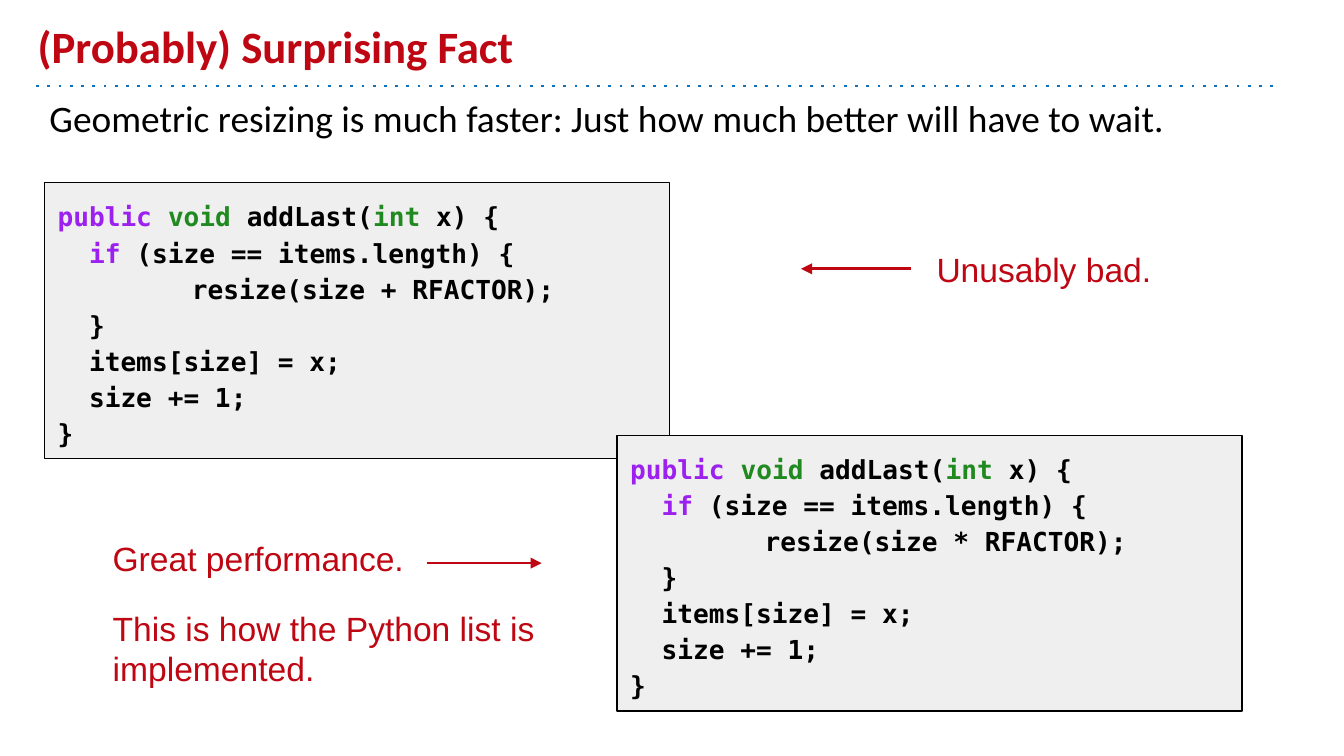
from lxml.etree import SubElement
from pptx import Presentation
from pptx.dml.color import RGBColor
from pptx.enum.shapes import MSO_CONNECTOR as Connector, MSO_SHAPE as Shape
from pptx.enum.text import MSO_ANCHOR as Anchor, MSO_AUTO_SIZE as AutoSize, PP_ALIGN as Align
from pptx.oxml.ns import qn
from pptx.util import Inches, Pt

COLORS = {
    "red": "BE0712", "blue": "1072BD", "black": "000000",
    "panel": "EFEFEF", "purple": "9C20EE", "green": "208920",
}
SYNTAX = {"public": "purple", "if": "purple", "void": "green", "int": "green"}
CODE = """public| |void| addLast(|int| x) {
  |if| (size == items.length) {
\tresize(size {operator} RFACTOR);
  }
  items[size] = x;
  size += 1;
}"""


def rgb(name):
    """Look up a named colour."""
    return RGBColor.from_string(COLORS[name])


def prepare_frame(shape, anchor=Anchor.TOP):
    """Set wrapping, insets and anchor, and return the text frame."""
    frame = shape.text_frame
    frame.word_wrap = True
    frame.auto_size = AutoSize.NONE
    frame.vertical_anchor = anchor
    frame.margin_left = frame.margin_right = Inches(0.1)
    frame.margin_top = frame.margin_bottom = Inches(0.1)
    return frame


def write(paragraph, text, font="Arial", size=18, color="black", bold=False,
          before=0, spacing=1.0):
    """Append a formatted run to a left-aligned paragraph."""
    paragraph.alignment = Align.LEFT
    paragraph.space_before = Pt(before)
    paragraph.line_spacing = spacing
    run = paragraph.add_run()
    run.text = text
    run.font.name = font
    run.font.size = Pt(size)
    run.font.bold = bold
    run.font.color.rgb = rgb(color)


def add_text(slide, box, text, **style):
    """Place a text box."""
    label = slide.shapes.add_textbox(*map(Inches, box))
    write(prepare_frame(label).paragraphs[0], text, **style)


def add_line(slide, start, end, color, ending, **attributes):
    """Draw a straight line with one extra line property."""
    line = slide.shapes.add_connector(
        Connector.STRAIGHT, *map(Inches, start + end))
    line.line.color.rgb = rgb(color)
    line.line.width = Pt(1.5)
    SubElement(line.line._get_or_add_ln(), qn(ending), **attributes)
    SubElement(line._element.spPr, qn("a:effectLst"))


def add_header(slide, left, top, width):
    """Place the title, its dotted rule and the opening statement."""
    title = slide.shapes.title
    title.left, title.top, title.width, title.height = map(
        Inches, (left, top, 9, 0.54))
    write(prepare_frame(title, Anchor.BOTTOM).paragraphs[0],
          "(Probably) Surprising Fact",
          font="Calibri", size=24, color="red", bold=True)
    rule_left, rule_top = left + 0.09, top + 0.54
    add_line(slide, (rule_left, rule_top), (rule_left + width, rule_top),
             "blue", "a:prstDash", val="dot")
    add_text(slide, (rule_left, top + 0.51, width, 0.54),
             "Geometric resizing is much faster: Just how much better will have to wait.",
             font="Calibri", size=20, before=6)


def add_code(slide, left, top, operator):
    """Place a panel with addLast resizing by the given operator."""
    panel = slide.shapes.add_shape(
        Shape.RECTANGLE, *map(Inches, (left, top, 4.65, 2.05)))
    panel.shadow.inherit = False
    panel.fill.solid()
    panel.fill.fore_color.rgb = rgb("panel")
    panel.line.color.rgb = rgb("black")
    panel.line.width = Pt(0.75)
    frame = prepare_frame(panel)
    for index, code_line in enumerate(CODE.replace("{operator}", operator).split("\n")):
        paragraph = frame.add_paragraph() if index else frame.paragraphs[0]
        for token in code_line.split("|"):
            write(paragraph, token, font="DejaVu Sans Mono", size=14, bold=True,
                  color=SYNTAX.get(token, "black"), spacing=1.15)
        if code_line.startswith("\t"):
            tabs = SubElement(paragraph._p.get_or_add_pPr(), qn("a:tabLst"))
            SubElement(tabs, qn("a:tab"), pos=str(Inches(1)), algn="l")


def add_verdict(slide, left, top, width, text, tail, head, drop):
    """Place a red remark and an arrow at offsets from its corner."""
    add_text(slide, (left, top, width, 0.39), text, color="red")
    add_line(slide, (left + tail, top + drop), (left + head, top + drop),
             "red", "a:tailEnd", type="triangle")


def main():
    """Build the slide and save it."""
    deck = Presentation()
    deck.slide_width = Inches(10)
    deck.slide_height = deck.slide_width * 9 // 16
    slide = deck.slides.add_slide(deck.slide_layouts[5])
    add_header(slide, 0.18, 0.1, 9.23)
    add_verdict(slide, 6.87, 1.75, 2.07, "Unusably bad.", -0.09, -0.91, 0.25)
    add_verdict(slide, 0.74, 3.9, 2.37, "Great performance.", 2.44, 3.29, 0.29)
    add_text(slide, (0.74, 4.42, 3.42, 0.39),
             "This is how the Python list is implemented.", color="red")
    add_code(slide, 0.33, 1.36, "+")
    add_code(slide, 4.59, 3.24, "*")
    deck.save("out.pptx")


if __name__ == "__main__":
    main()
